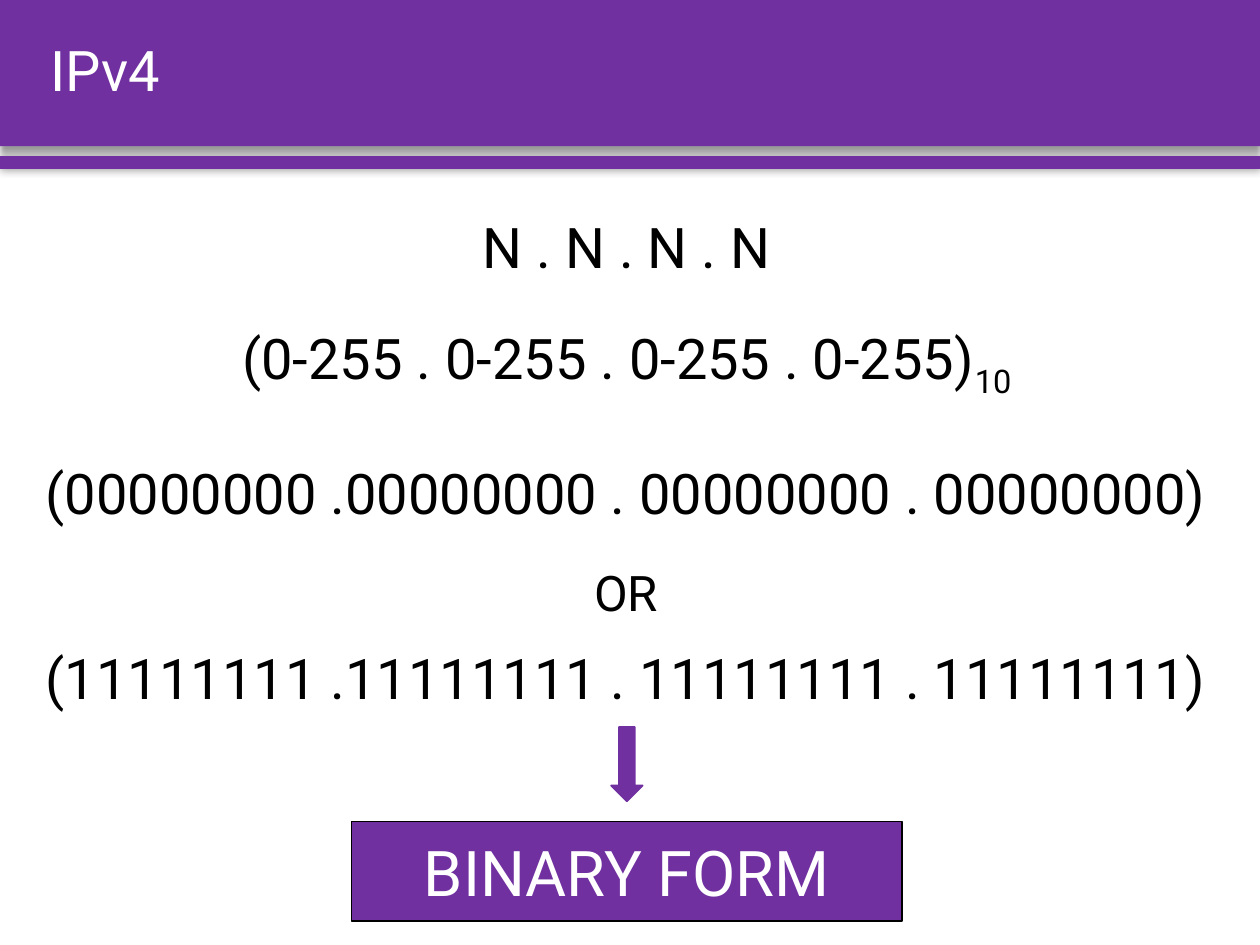
from dataclasses import dataclass

from lxml import etree
from pptx import Presentation
from pptx.dml.color import RGBColor
from pptx.enum.shapes import MSO_SHAPE
from pptx.enum.text import MSO_ANCHOR, PP_ALIGN
from pptx.oxml.ns import qn
from pptx.util import Pt

RECTANGLE, DOWN_ARROW = MSO_SHAPE.RECTANGLE, MSO_SHAPE.DOWN_ARROW
MIDDLE = MSO_ANCHOR.MIDDLE
LEFT, CENTER = PP_ALIGN.LEFT, PP_ALIGN.CENTER


@dataclass(frozen=True)
class Theme:
    purple: RGBColor = RGBColor(0x70, 0x30, 0xA0)
    black: RGBColor = RGBColor(0, 0, 0)
    white: RGBColor = RGBColor(255, 255, 255)
    font: str = "Roboto"
    small: int = 28
    body: int = 32
    large: int = 36


theme = Theme()


def write(paragraph, text, size=theme.body, color=theme.black, align=CENTER, subscript=False):
    paragraph.alignment = align
    run = paragraph.add_run()
    run.text = text
    run.font.name = theme.font
    run.font.size = Pt(size)
    run.font.color.rgb = color
    if subscript:
        run._r.get_or_add_rPr().set("baseline", "-25000")


def add_purple_shape(kind, left, top, width, height, outline=None, shadow=None):
    """Outline is a colour; shadow is (blur, distance, degrees)."""
    shape = slide.shapes.add_shape(kind, Pt(left), Pt(top), Pt(width), Pt(height))
    shape.fill.solid()
    shape.fill.fore_color.rgb = theme.purple
    if outline is None:
        shape.line.fill.background()
    else:
        shape.line.color.rgb = outline
        shape.line.width = Pt(1)
    shape.shadow.inherit = False
    if shadow:
        blur, distance, degrees = shadow
        effects = shape._element.spPr.find(qn("a:effectLst"))
        outer = etree.SubElement(effects, qn("a:outerShdw"), blurRad=str(Pt(blur)),
                                 dist=str(Pt(distance)), dir=str(degrees * 60000),
                                 algn="t", rotWithShape="0")
        color = etree.SubElement(outer, qn("a:srgbClr"), val=str(theme.black))
        etree.SubElement(color, qn("a:alpha"), val="40000")
    return shape


presentation = Presentation()
presentation.slide_width, presentation.slide_height = Pt(720), Pt(540)
slide = presentation.slides.add_slide(presentation.slide_layouts[6])

# Header band, stripe and title
add_purple_shape(RECTANGLE, 0, 0, 720, 83.5, shadow=(4, 3, 90))
add_purple_shape(RECTANGLE, 0, 89.3, 720, 7.2, shadow=(5, 0, 0))
title = slide.shapes.add_textbox(Pt(21.6), Pt(0), Pt(681), Pt(83.5)).text_frame
title.word_wrap = True
title.vertical_anchor = MIDDLE
title.paragraphs[0].line_spacing = 0.9
write(title.paragraphs[0], "IPv4", color=theme.white, align=LEFT)

# One-cell tables: left, top, width, height, text, subscript
address_rows = [
    (149, 120.2, 418.3, 49.7, "N . N . N . N", ""),
    (116.6, 183.6, 483.1, 64.1, "(0-255 . 0-255 . 0-255 . 0-255)", "10"),
    (8.6, 260.6, 698.4, 52.6, "(00000000 .00000000 . 00000000 . 00000000)", ""),
    (8.6, 366.5, 698.4, 52.6, "(11111111 .11111111 . 11111111 . 11111111)", ""),
]
for left, top, width, height, address, base in address_rows:
    table = slide.shapes.add_table(1, 1, Pt(left), Pt(top), Pt(width), Pt(height)).table
    table.first_row = table.horz_banding = False
    cell = table.cell(0, 0)
    cell.fill.background()
    paragraph = cell.text_frame.paragraphs[0]
    write(paragraph, address)
    if base:
        write(paragraph, base, subscript=True)

either = slide.shapes.add_textbox(Pt(326.9), Pt(318.2), Pt(61.9), Pt(41)).text_frame
either.word_wrap = True
write(either.paragraphs[0], "OR", size=theme.small)

# Result
binary_form = add_purple_shape(RECTANGLE, 200.9, 469.4, 314.6, 56.9, outline=theme.black)
binary_form.text_frame.vertical_anchor = MIDDLE
write(binary_form.text_frame.paragraphs[0], "BINARY FORM", size=theme.large, color=theme.white)
add_purple_shape(DOWN_ARROW, 349.2, 415.4, 18, 42.5, outline=theme.purple)

presentation.save("out.pptx")
